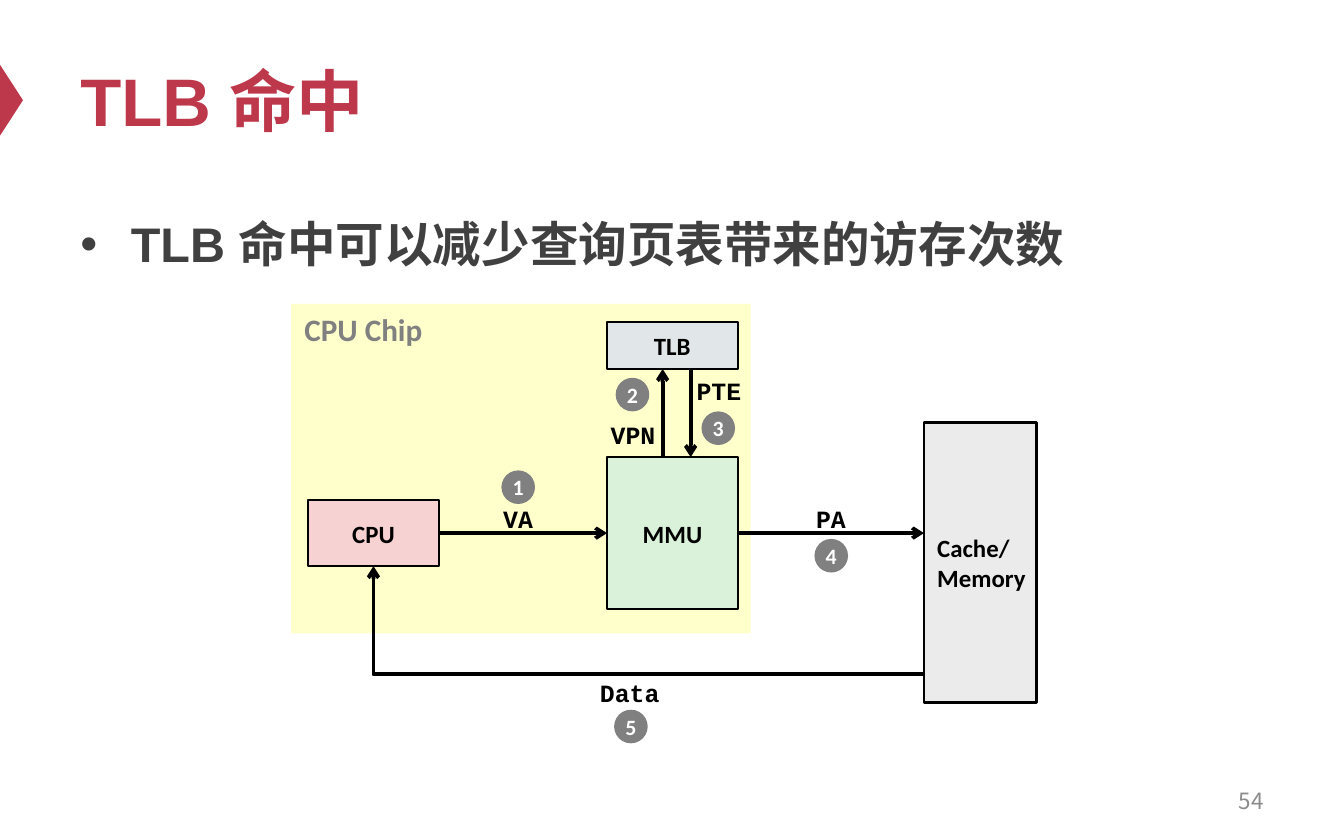
from lxml import etree
from pptx import Presentation
from pptx.dml.color import RGBColor
from pptx.enum.shapes import MSO_CONNECTOR, MSO_SHAPE
from pptx.enum.text import MSO_ANCHOR, PP_ALIGN
from pptx.oxml.ns import qn
from pptx.util import Pt

RECTANGLE, OVAL = MSO_SHAPE.RECTANGLE, MSO_SHAPE.OVAL
TRIANGLE = MSO_SHAPE.ISOSCELES_TRIANGLE
STRAIGHT, ELBOW = MSO_CONNECTOR.STRAIGHT, MSO_CONNECTOR.ELBOW
TOP, MIDDLE = MSO_ANCHOR.TOP, MSO_ANCHOR.MIDDLE
LEFT, CENTER, RIGHT = PP_ALIGN.LEFT, PP_ALIGN.CENTER, PP_ALIGN.RIGHT
SITE_LEFT, SITE_RIGHT = 1, 3

CJK_FONT = "Noto Sans CJK SC"
BLACK, GRAY, RED = "000000", "808080", "BE384B"
NODE_FONT = {"name": "Calibri", "size": Pt(13.3), "bold": True}
LABEL_FONT = {"name": "Courier New", "size": Pt(13.3), "bold": True}
STEP_FONT = {"name": "Calibri", "size": Pt(11.7), "bold": True}
CHIP_FONT = {"name": "Calibri", "size": Pt(16.7), "bold": True}
TITLE_FONT = {"name": "Arial", "size": Pt(36), "bold": True}
BODY_FONT = {"name": "Arial", "size": Pt(26), "bold": True}
NUMBER_FONT = {"name": CJK_FONT, "size": Pt(12), "bold": False}
TIGHT = {"margin_left": Pt(5.76), "margin_right": Pt(5.76),
         "margin_top": Pt(2.88), "margin_bottom": Pt(2.88)}

STEP_SIZE = 18
STEPS = [("1", 268.6, 252), ("2", 329.8, 202.4), ("3", 375.8, 220.4),
         ("4", 436.3, 288.7), ("5", 329, 380.2)]
LABELS = [("VA", 263.6, 266.4, 28), ("VPN", 321.2, 221.8, 36),
          ("PTE", 367.2, 198, 36), ("PA", 431.2, 266.4, 28),
          ("Data", 315.4, 360, 44)]
LABEL_HEIGHT = 22.3


def color(value):
    return RGBColor.from_string(value)


def write(shape, lines, font, font_color, align=CENTER, anchor=MIDDLE,
          wrap=False, margins=None):
    frame = shape.text_frame
    settings = {"word_wrap": wrap, "vertical_anchor": anchor, **(margins or {})}
    for name, value in settings.items():
        setattr(frame, name, value)
    for index, line in enumerate(lines):
        para = frame.add_paragraph() if index else frame.paragraphs[0]
        para.alignment = align
        span = para.add_run()
        span.text = line
        for name, value in font.items():
            setattr(span.font, name, value)
        span.font.color.rgb = color(font_color)
        etree.SubElement(span.font._element, qn("a:ea"), typeface=CJK_FONT)
    return frame


def add_text(slide, bounds, lines, font, font_color, **layout):
    box = slide.shapes.add_textbox(*map(Pt, bounds))
    return write(box, lines, font, font_color, **layout)


def add_block(slide, kind, bounds, fill, line_width=0):
    block = slide.shapes.add_shape(kind, *map(Pt, bounds))
    block.shadow.inherit = False
    block.fill.solid()
    block.fill.fore_color.rgb = color(fill)
    if line_width:
        block.line.color.rgb = color(BLACK)
        block.line.width = Pt(line_width)
    else:
        block.line.fill.background()
    return block


def add_node(slide, name, bounds, fill):
    node = add_block(slide, RECTANGLE, bounds, fill, 1)
    write(node, [name], NODE_FONT, BLACK, margins=TIGHT)
    return node


def add_arrow(slide, start, end, kind=STRAIGHT):
    arrow = slide.shapes.add_connector(kind, *map(Pt, (*start, *end)))
    arrow.line.color.rgb = color(BLACK)
    arrow.line.width = Pt(2)
    etree.SubElement(arrow.line._get_or_add_ln(), qn("a:tailEnd"), type="arrow")
    properties = arrow._element.spPr
    etree.SubElement(properties, qn("a:effectLst"))
    if kind == ELBOW:
        # A single right-angled bend
        properties.find(qn("a:prstGeom")).set("prst", "bentConnector2")
    return arrow


def add_bullet(para, indent):
    properties = para._p.get_or_add_pPr()
    properties.set("marL", str(Pt(indent)))
    properties.set("indent", str(-Pt(indent)))
    etree.SubElement(properties, qn("a:buFont"), typeface="Arial")
    etree.SubElement(properties, qn("a:buChar"), char="•")


def add_page_text(slide):
    marker = add_block(slide, TRIANGLE, (-13, 47.5, 38.2, 12.4), RED)
    marker.rotation = 90
    add_text(slide, (36, 18, 648, 70.6), ["TLB 命中"], TITLE_FONT, RED,
             align=LEFT, wrap=True)
    body = add_text(slide, (36, 105.1, 648, 296.6),
                    ["TLB 命中可以减少查询页表带来的访存次数"], BODY_FONT, "404040",
                    align=LEFT, anchor=TOP, wrap=True)
    add_bullet(body.paragraphs[0], 27)
    body.paragraphs[0].line_spacing = 1.2
    add_text(slide, (516, 417, 168, 24), ["54"], NUMBER_FONT, "8C8C8C",
             align=RIGHT, wrap=True)


def add_diagram(slide):
    add_block(slide, RECTANGLE, (156, 162.8, 246.2, 176.6), "FFFFCC")
    add_text(slide, (156, 162.8, 78.5, 27.4), ["CPU Chip"], CHIP_FONT, GRAY,
             align=LEFT, anchor=TOP)
    cpu = add_node(slide, "CPU", (165, 267.9, 70.2, 35.4), "F6D2D2")
    mmu = add_node(slide, "MMU", (325.2, 244.9, 70.2, 81.4), "DBF2DA")
    add_node(slide, "TLB", (325, 172.5, 70.2, 25.2), "E1E7E9")
    memory = add_block(slide, RECTANGLE, (495, 226.3, 60.2, 150), "EBEBEB", 1.5)
    write(memory, ["Cache/", "Memory"], NODE_FONT, BLACK, align=LEFT)

    request = add_arrow(slide, (235.2, 285.6), (325.2, 285.6))
    request.begin_connect(cpu, SITE_RIGHT)
    request.end_connect(mmu, SITE_LEFT)
    access = add_arrow(slide, (395.4, 285.6), (495, 285.6))
    access.begin_connect(mmu, SITE_RIGHT)
    add_arrow(slide, (355, 244.9), (355, 197.7))
    add_arrow(slide, (370, 197.7), (370, 244.9))
    add_arrow(slide, (495, 361.2), (200.1, 303.3), ELBOW)

    for label, left, top, width in LABELS:
        add_text(slide, (left, top, width, LABEL_HEIGHT), [label], LABEL_FONT,
                 BLACK, margins=TIGHT)
    for number, left, top in STEPS:
        step = add_block(slide, OVAL, (left, top, STEP_SIZE, STEP_SIZE), GRAY)
        write(step, [number], STEP_FONT, "FFFFFF", margins=TIGHT)


def main():
    deck = Presentation()
    deck.slide_width, deck.slide_height = Pt(720), Pt(450)
    slide = deck.slides.add_slide(deck.slide_layouts[6])
    add_page_text(slide)
    add_diagram(slide)
    deck.save("out.pptx")


if __name__ == "__main__":
    main()
